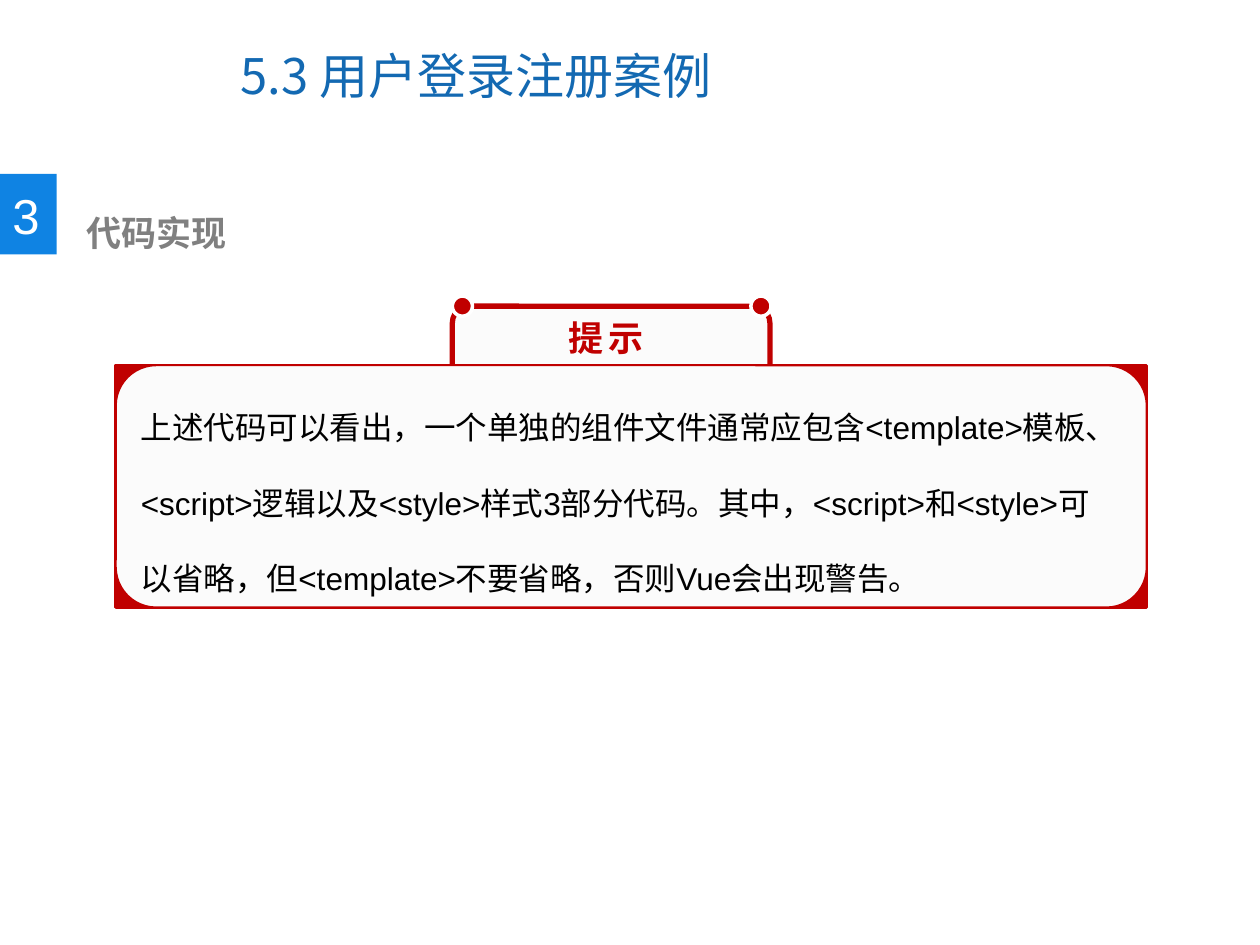
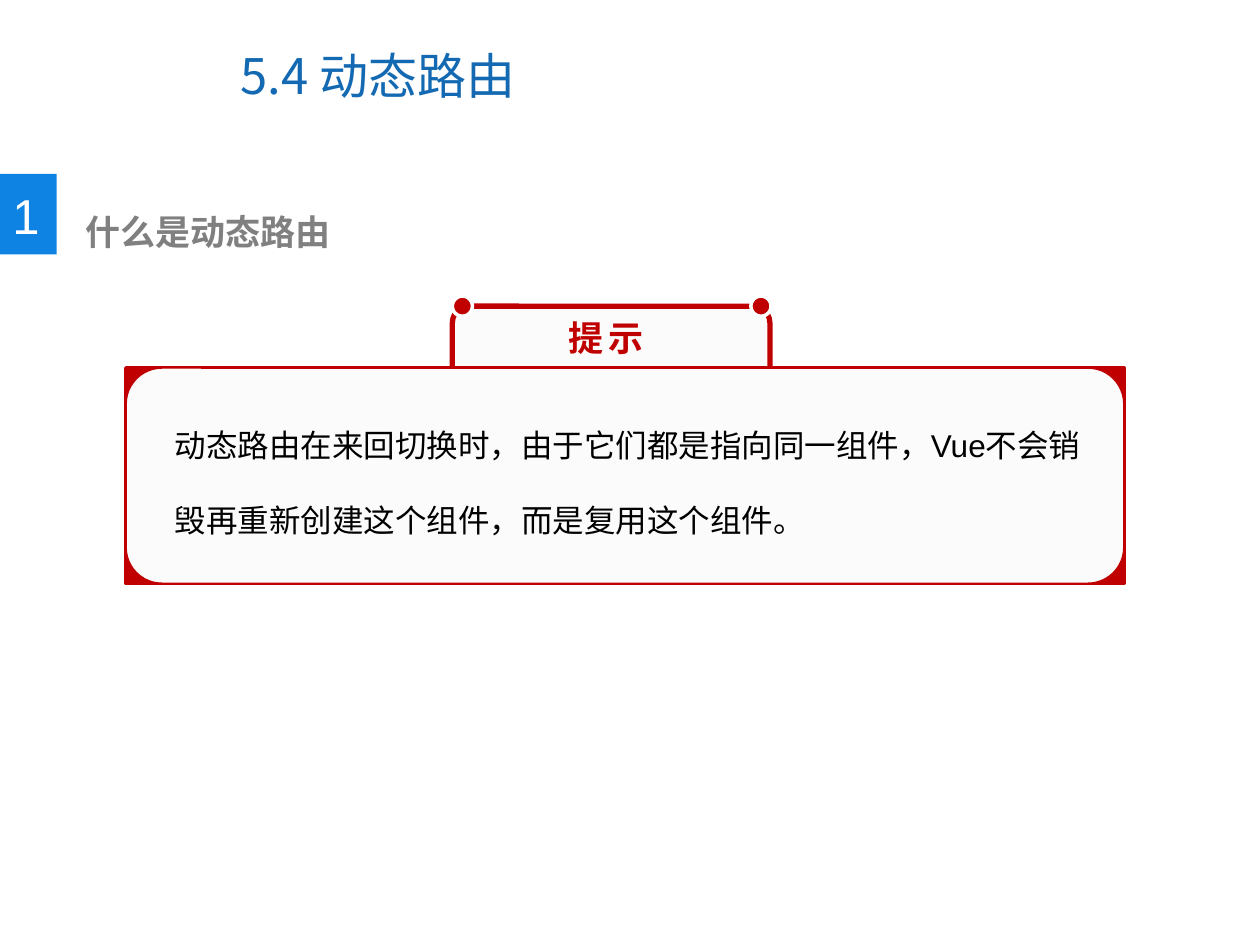
import pptx
import pptx.dml.color
import pptx.enum.shapes
import pptx.enum.text
import pptx.oxml.ns
import pptx.util
from dataclasses import dataclass
from lxml import etree

Inches = pptx.util.Inches
Shapes = pptx.enum.shapes.MSO_SHAPE
Align = pptx.enum.text.PP_ALIGN
Anchor = pptx.enum.text.MSO_ANCHOR


@dataclass(frozen=True)
class Theme:
    """Colours, fonts and type sizes shared by the slides."""
    title: str = "1369B2"
    badge: str = "0F83E3"
    heading: str = "808080"
    accent: str = "C00000"
    paper: str = "FBFBFB"
    white: str = "FFFFFF"
    black: str = "000000"
    cjk_font: str = "Noto Sans CJK SC"
    body_font: str = "Arial"
    title_size: int = 28
    heading_size: int = 20
    body_size: int = 18


THEME = Theme()

# Boxes are left, top, width, height in inches.
SLIDES = [
    {
        "title": "5.3 用户登录注册案例",
        "number": "3",
        "heading": "代码实现",
        "heading_box": (0.59, 1.63, 5.03, 0.44),
        "tip": "上述代码可以看出，一个单独的组件文件通常应包含<template>模板、"
               "<script>逻辑以及<style>样式3部分代码。其中，<script>和<style>"
               "可以省略，但<template>不要省略，否则Vue会出现警告。",
        "panel": (0.92, 2.9, 8.18, 1.92),
        "tip_box": (1.02, 2.89, 8.04, 1.82),
        "tip_right_inset": 0.37,
    },
    {
        "title": "5.4 动态路由",
        "number": "1",
        "heading": "什么是动态路由",
        "heading_box": (0.58, 1.62, 5.03, 0.44),
        "tip": "动态路由在来回切换时，由于它们都是指向同一组件，"
               "Vue不会销毁再重新创建这个组件，而是复用这个组件。",
        "panel": (1, 2.92, 7.92, 1.71),
        "tip_box": (1.29, 3.03, 7.42, 1.31),
        "tip_right_inset": 0.1,
    },
]
TIP_LABEL = "提示"

TITLE_BOX = (1.81, 0.17, 5.16, 0.85)
BADGE_BOX = (0, 1.38, 0.45, 0.64)
NUMBER_BOX = (0, 1.42, 0.42, 0.57)
TAB_BOX = (3.59, 2.43, 2.52, 0.79)
LABEL_BOX = (4.06, 2.46, 1.5, 0.44)
DOT_LEFTS = (3.59, 5.96)
DOT_SIZE = 0.16


def colour(code):
    """Turn a hex code into a colour."""
    return pptx.dml.color.RGBColor.from_string(code)


def add_block(slide, kind, box, fill, line=None, width=0):
    """Add a flat preset shape, outlined when a line colour is given."""
    shape = slide.shapes.add_shape(kind, *map(Inches, box))
    shape.shadow.inherit = False
    shape.fill.solid()
    shape.fill.fore_color.rgb = colour(fill)
    if line:
        shape.line.color.rgb = colour(line)
        shape.line.width = pptx.util.Pt(width)
    else:
        shape.line.fill.background()


def write(frame, text, font, size, ink, bold=False, align=Align.LEFT,
          spacing=None, tracking=0):
    """Write one run into a text frame, with the font set for both scripts."""
    frame.word_wrap = True
    paragraph = frame.paragraphs[0]
    paragraph.alignment = align
    if spacing:
        paragraph.line_spacing = spacing
    run = paragraph.add_run()
    run.text = text
    run.font.name = font
    run.font.size = pptx.util.Pt(size)
    run.font.bold = bold
    run.font.color.rgb = colour(ink)
    properties = run.font._element
    east_asian = etree.SubElement(properties, pptx.oxml.ns.qn("a:ea"))
    east_asian.set("typeface", font)
    if tracking:
        properties.set("spc", str(tracking * 100))


def add_text(slide, box, *content, right_inset=0.1, **style):
    """Add a text box holding one run."""
    shape = slide.shapes.add_textbox(*map(Inches, box))
    shape.text_frame.margin_right = Inches(right_inset)
    write(shape.text_frame, *content, **style)


def add_title(slide, text):
    """Move the title placeholder into place and fill it."""
    title = slide.shapes.title
    title.left, title.top, title.width, title.height = map(Inches, TITLE_BOX)
    title.text_frame.auto_size = pptx.enum.text.MSO_AUTO_SIZE.NONE
    title.text_frame.vertical_anchor = Anchor.MIDDLE
    write(title.text_frame, text, THEME.cjk_font, THEME.title_size, THEME.title)


def add_heading(slide, number, box, text):
    """Add the numbered badge at the left edge and the heading beside it."""
    add_block(slide, Shapes.RECTANGLE, BADGE_BOX, THEME.badge)
    add_text(slide, NUMBER_BOX, number, THEME.body_font, THEME.title_size,
             THEME.white)
    add_text(slide, box, text, THEME.body_font, THEME.heading_size,
             THEME.heading, bold=True)


def add_tip(slide, panel, text_box, right_inset, text):
    """Add the labelled tab, the framed panel below it and the tip text."""
    add_block(slide, Shapes.ROUNDED_RECTANGLE, TAB_BOX, THEME.paper,
              THEME.accent, 3)
    add_block(slide, Shapes.FLOWCHART_PROCESS, panel, THEME.accent,
              THEME.accent, 2)
    add_block(slide, Shapes.FLOWCHART_ALTERNATE_PROCESS, panel, THEME.paper,
              THEME.accent, 1)
    dot_top = TAB_BOX[1] - DOT_SIZE / 2
    for dot_left in DOT_LEFTS:
        add_block(slide, Shapes.OVAL, (dot_left, dot_top, DOT_SIZE, DOT_SIZE),
                  THEME.accent, THEME.white, 2)
    add_text(slide, LABEL_BOX, TIP_LABEL, THEME.cjk_font, THEME.heading_size,
             THEME.accent, bold=True, align=Align.CENTER, tracking=3)
    add_text(slide, text_box, text, THEME.body_font, THEME.body_size,
             THEME.black, right_inset=right_inset, spacing=2.0)


def main():
    """Build and save the presentation."""
    presentation = pptx.Presentation()
    presentation.slide_width = Inches(10)
    presentation.slide_height = Inches(7.5)
    title_only = presentation.slide_layouts.get_by_name("Title Only")
    for content in SLIDES:
        slide = presentation.slides.add_slide(title_only)
        add_title(slide, content["title"])
        add_heading(slide, content["number"], content["heading_box"],
                    content["heading"])
        add_tip(slide, content["panel"], content["tip_box"],
                content["tip_right_inset"], content["tip"])
    presentation.save("out.pptx")


main()
